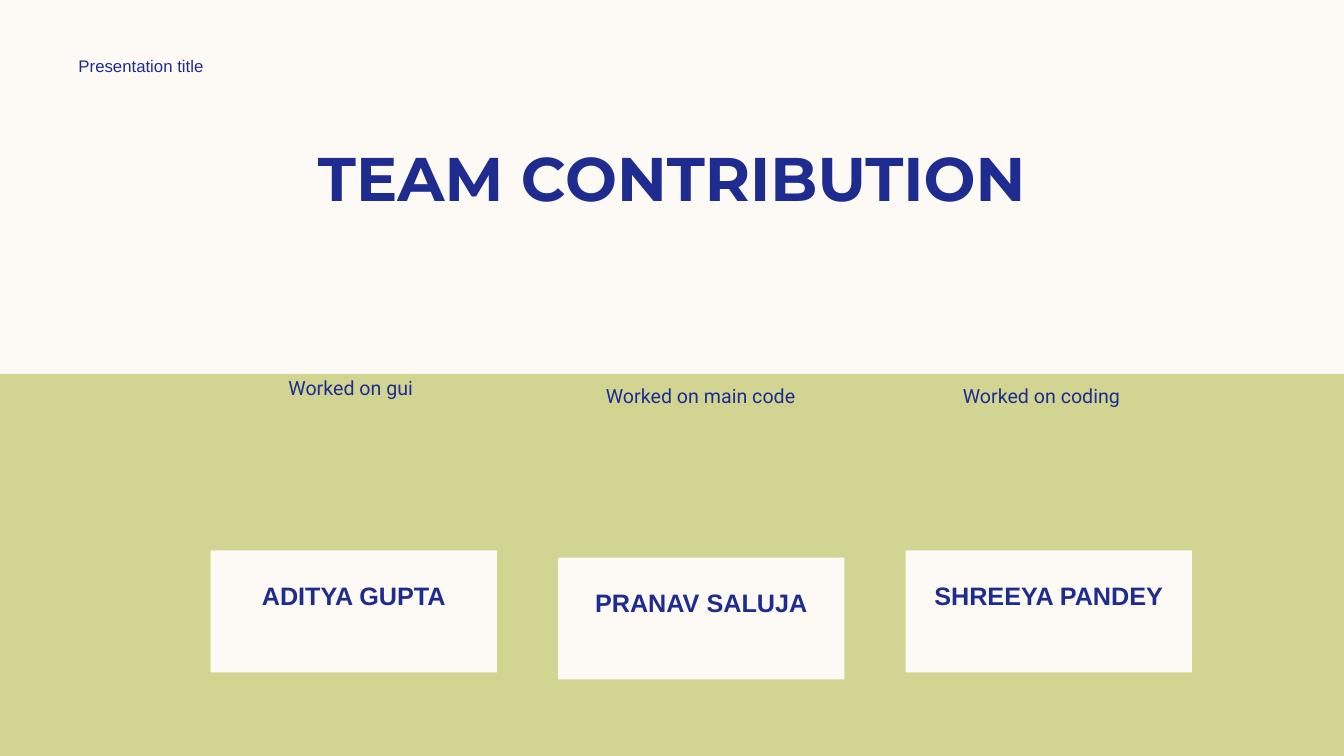
import pptx
import pptx.dml.color
import pptx.enum.shapes
import pptx.enum.text
import pptx.util

RGBColor = pptx.dml.color.RGBColor
CREAM = RGBColor(0xFD, 0xFA, 0xF6)
OLIVE = RGBColor(0xD2, 0xD5, 0x92)
NAVY = RGBColor(0x1F, 0x2C, 0x8F)

ALIGN = pptx.enum.text.PP_ALIGN
ANCHOR = pptx.enum.text.MSO_ANCHOR
SLIDE_WIDTH = pptx.util.Inches(13.33)
SLIDE_HEIGHT = pptx.util.Inches(7.5)
COLUMN = SLIDE_WIDTH / 100
ROW = SLIDE_HEIGHT / 100

TITLE_FONT = {"name": "Montserrat", "size": pptx.util.Pt(44), "bold": True}
HEADER_FONT = {"name": "Arial", "size": pptx.util.Pt(12), "bold": False}
NAME_FONT = {"name": "Arial", "size": pptx.util.Pt(18), "bold": True}
TASK_FONT = {"name": "Roboto", "size": pptx.util.Pt(14), "bold": False}

FIRST_CARD = 15.68
CARD_STEP = 25.85
MEMBERS = [
    ("ADITYA GUPTA", 72.8, "Worked on gui", 16.73, 32.8),
    ("PRANAV SALUJA", 73.75, "Worked on main code", 42.76, 34.93),
    ("SHREEYA PANDEY", 72.8, "Worked on coding", 68.12, 34.93),
]


def set_attributes(target, values):
    for name, value in values.items():
        setattr(target, name, value)


def grid_box(left, top, width, height):
    return (round(left * COLUMN), round(top * ROW),
            round(width * COLUMN), round(height * ROW))


def write_text(shape, text, font, alignment=ALIGN.CENTER,
               anchor=ANCHOR.MIDDLE, space_before=0):
    frame = shape.text_frame
    set_attributes(frame, {"word_wrap": True, "vertical_anchor": anchor,
                           "auto_size": pptx.enum.text.MSO_AUTO_SIZE.NONE})
    paragraph = frame.paragraphs[0]
    set_attributes(paragraph, {"alignment": alignment,
                               "space_before": pptx.util.Pt(space_before)})
    run = paragraph.add_run()
    run.text = text
    set_attributes(run.font, font)
    run.font.color.rgb = NAVY


def add_title(slide, text, box):
    title = slide.shapes.title
    set_attributes(title, dict(zip(("left", "top", "width", "height"), box)))
    write_text(title, text, TITLE_FONT)


def add_panel(slide, box, color):
    panel = slide.shapes.add_shape(
        pptx.enum.shapes.MSO_SHAPE.RECTANGLE, *box)
    panel.shadow.inherit = False
    panel.fill.solid()
    panel.fill.fore_color.rgb = color
    panel.line.fill.background()
    return panel


def add_label(slide, box, text, font, **layout):
    write_text(slide.shapes.add_textbox(*box), text, font, **layout)


def add_name_card(slide, box, name):
    card = add_panel(slide, box, CREAM)
    set_attributes(card.text_frame, {
        "margin_left": 0, "margin_right": 0,
        "margin_top": round(4 * ROW),
        "margin_bottom": pptx.util.Inches(0.05)})
    write_text(card, name, NAME_FONT, anchor=ANCHOR.TOP)


def main():
    presentation = pptx.Presentation()
    set_attributes(presentation, {"slide_width": SLIDE_WIDTH,
                                  "slide_height": SLIDE_HEIGHT})
    slide = presentation.slides.add_slide(presentation.slide_layouts[5])
    slide.background.fill.solid()
    slide.background.fill.fore_color.rgb = CREAM

    add_panel(slide, grid_box(-0.2, 49.47, 100.2, 50.53), OLIVE)
    add_title(slide, "TEAM CONTRIBUTION", grid_box(6.23, 17.73, 87.55, 11.2))
    add_label(slide, grid_box(5.1, 6.67, 26.26, 4), "Presentation title",
              HEADER_FONT, alignment=ALIGN.LEFT)

    for index, (name, card_top, task, task_left, task_height) in enumerate(MEMBERS):
        card_left = FIRST_CARD + index * CARD_STEP
        add_name_card(slide, grid_box(card_left, card_top, 21.3, 16.13), name)
        add_label(slide, grid_box(task_left, 34.93, 18.75, task_height),
                  task, TASK_FONT, space_before=3.6)

    presentation.save("out.pptx")


if __name__ == "__main__":
    main()
